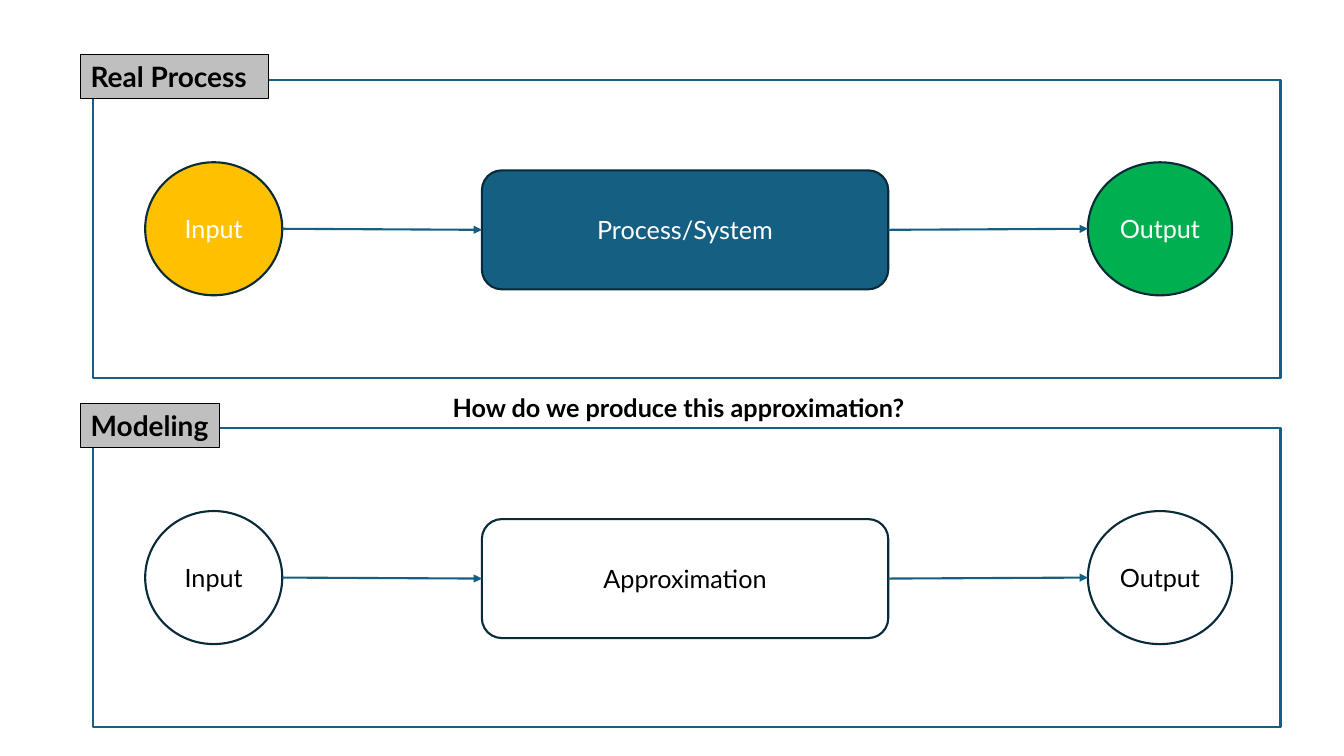
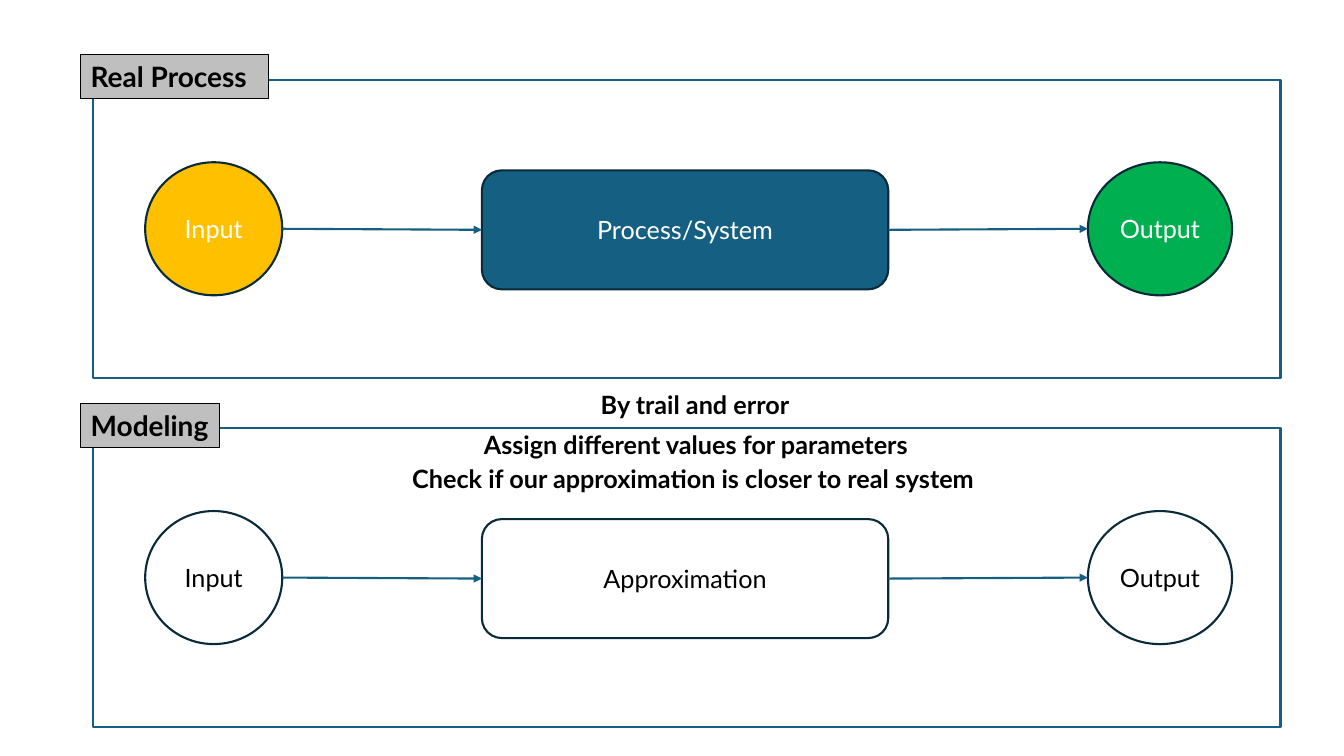
from lxml import etree
from pptx import Presentation
from pptx import util as u
from pptx.dml.color import RGBColor
from pptx.enum import shapes, text
from pptx.oxml.ns import qn

PX = 9144  # 100 px to the inch
BLUE = RGBColor(0x15, 0x60, 0x82)
NAVY = RGBColor(0x09, 0x2A, 0x39)
GOLD = RGBColor(0xFF, 0xC0, 0x00)
GREEN = RGBColor(0x00, 0xB0, 0x50)
GREY = RGBColor(0xBF, 0xBF, 0xBF)
WHITE = RGBColor(0xFF, 0xFF, 0xFF)
BLACK = RGBColor(0x00, 0x00, 0x00)
FONT = "Lato"
KIND = shapes.MSO_SHAPE


def write(shape, words, size=18, color=BLACK, bold=False, center=False):
    """Put text in a shape: centred, or on one line from the left."""
    frame = shape.text_frame
    frame.word_wrap = center
    if center:
        frame.vertical_anchor = text.MSO_ANCHOR.MIDDLE
    else:
        frame.vertical_anchor = text.MSO_ANCHOR.TOP
        frame.auto_size = text.MSO_AUTO_SIZE.SHAPE_TO_FIT_TEXT
    para = frame.paragraphs[0]
    para.text = words
    para.alignment = text.PP_ALIGN.CENTER if center else text.PP_ALIGN.LEFT
    font = para.runs[0].font
    font.name, font.size, font.bold = FONT, u.Pt(size), bold
    font.color.rgb = color


def draw(slide, kind, box, fill=WHITE, line=NAVY, width=1.5):
    """Add a filled and outlined shape; box is left, top, width, height."""
    shape = slide.shapes.add_shape(kind, *[n * PX for n in box])
    shape.shadow.inherit = False
    shape.fill.solid()
    shape.fill.fore_color.rgb = fill
    shape.line.color.rgb = line
    shape.line.width = u.Pt(width)
    return shape


# Panels: top, tag, tag width, middle label, text colour, node fills
STEP = 346
PANELS = [
    (79, "Real Process", 186, "Process/System", WHITE, (GOLD, BLUE, GREEN)),
    (79 + STEP, "Modeling", 138, "Approximation", BLACK, (WHITE,) * 3),
]

# Notes on each slide: left, top, width, words
NOTES = [
    [(439, 384, 483, "How do we produce this approximation?")],
    [
        (586, 381, 208, "By trail and error"),
        (470, 421, 455, "Assign different values for parameters"),
        (399, 455, 598, "Check if our approximation is closer to real system"),
    ],
]

deck = Presentation()
deck.slide_width, deck.slide_height = u.Inches(13.33), u.Inches(7.5)

for notes in NOTES:
    slide = deck.slides.add_slide(deck.slide_layouts[6])

    for top, tag, wide, label, ink, fills in PANELS:
        # Frame and its three nodes
        draw(slide, KIND.RECTANGLE, (92, top, 1178, 296), line=BLUE)
        nodes = [
            ("Input", KIND.OVAL, (144, top + 82, 136, 132)),
            (label, KIND.ROUNDED_RECTANGLE, (478, top + 90, 403, 118)),
            ("Output", KIND.OVAL, (1079, top + 82, 143, 132)),
        ]
        for (words, kind, box), fill in zip(nodes, fills):
            write(draw(slide, kind, box, fill), words, color=ink, center=True)

        # Arrows from the middle of one node's side to the next
        for (_, _, start), (_, _, end) in zip(nodes, nodes[1:]):
            ends = (start[0] + start[2], start[1] + start[3] // 2,
                    end[0], end[1] + end[3] // 2)
            arrow = slide.shapes.add_connector(
                shapes.MSO_CONNECTOR.STRAIGHT, *[n * PX for n in ends])
            arrow.line.color.rgb = BLUE
            arrow.line.width = u.Pt(1.5)
            props = arrow.element.spPr
            etree.SubElement(props.find(qn("a:ln")), qn("a:tailEnd"), type="triangle")
            etree.SubElement(props, qn("a:effectLst"))

        # Tag on the frame's corner
        name = draw(slide, KIND.RECTANGLE, (80, top - 25, wide, 44), GREY, BLACK, 0.5)
        write(name, tag, size=20, bold=True)

    # Notes between the panels
    for left, top, wide, words in notes:
        note = slide.shapes.add_textbox(left * PX, top * PX, wide * PX, 40 * PX)
        write(note, words, bold=True)

deck.save("out.pptx")
